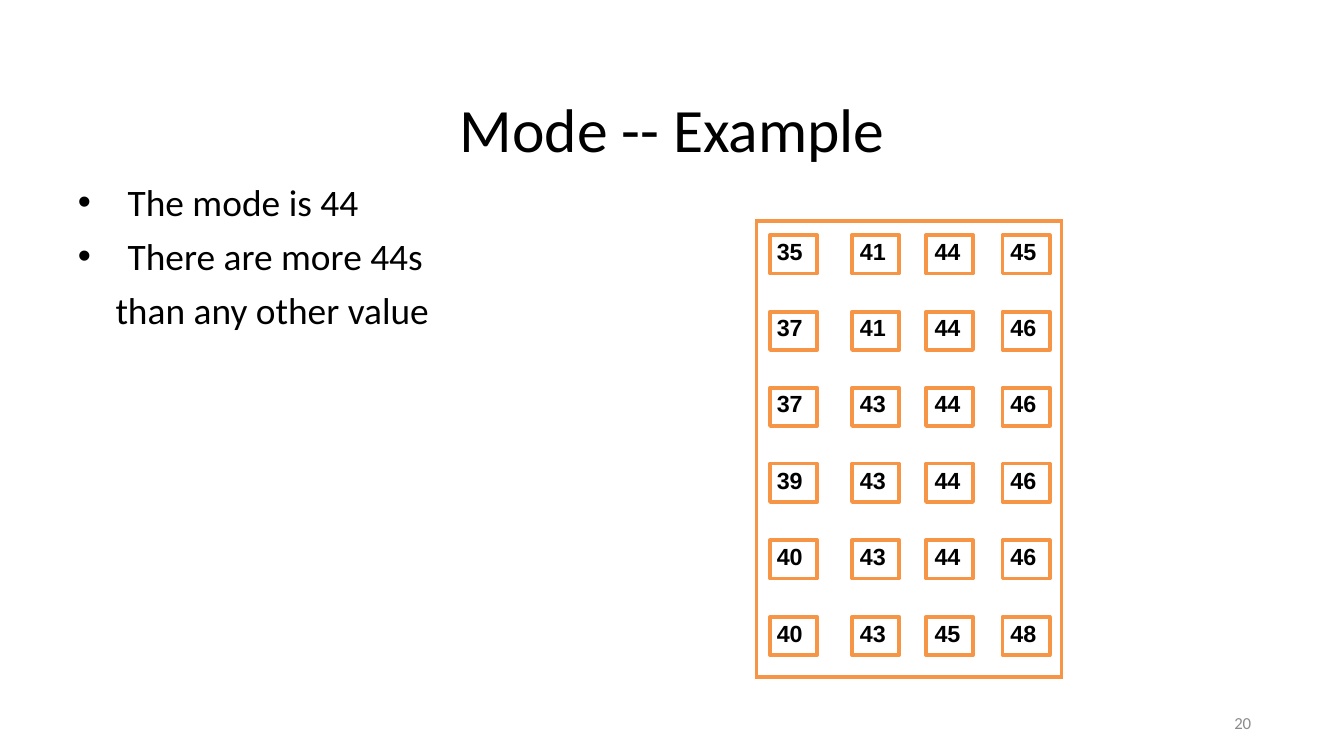
from dataclasses import dataclass

import pptx
import pptx.dml.color
import pptx.enum.text
import pptx.oxml
import pptx.oxml.ns
import pptx.util

PX = 4572
COLORS = {"text": "000000", "accent": "F79546", "paper": "FFFFFF", "number": "8C8C8C"}
ALIGN = pptx.enum.text.PP_ALIGN
MIDDLE = pptx.enum.text.MSO_ANCHOR.MIDDLE
FONTS = {
    "title": {"size": 33, "name": "Calibri", "bold": False},
    "bullet": {"size": 20, "name": "Calibri", "bold": False},
    "cell": {"size": 12.5, "name": "Arial", "bold": True},
    "number": {"size": 9, "name": "Calibri", "bold": False},
}


@dataclass
class Box:
    left: int
    top: int
    width: int
    height: int

    def emu(self) -> tuple:
        return tuple(v * PX for v in (self.left, self.top, self.width, self.height))

    def corners(self) -> list[tuple[int, int]]:
        right, bottom = self.left + self.width, self.top + self.height
        return [(self.left, bottom), (right, bottom), (right, self.top), (self.left, self.top)]


@dataclass
class Line:
    text: str
    font: str
    indent: int = 0
    hanging: int = 0
    before: float = 0
    align: ALIGN = ALIGN.LEFT
    color: str = "text"


VALUES = [
    [35, 41, 44, 45],
    [37, 41, 44, 46],
    [37, 43, 44, 46],
    [39, 43, 44, 46],
    [40, 43, 44, 46],
    [40, 43, 45, 48],
]
COL_WIDTHS = [112, 116, 112, 114]
ROW_HEIGHTS = [106, 114, 114, 114, 114, 117]
BOX_LEFTS = [1146, 1268, 1378, 1492]
BOX_TOP, BOX_WIDTH, BOX_HEIGHT = 350, 70, 57
BOX_PITCH = 113.5
BULLETS = [
    Line("The mode is 44", "bullet", 78, -74, 5.8),
    Line("There are more 44s", "bullet", 78, -74, 4.8),
    Line("than any other value", "bullet", 60, 0, 4.8),
]


def rgb(name: str) -> pptx.dml.color.RGBColor:
    return pptx.dml.color.RGBColor.from_string(COLORS[name])


def write_line(p, line: Line) -> None:
    p.alignment = line.align
    p.space_before = pptx.util.Pt(line.before)
    pPr = p._p.get_or_add_pPr()
    pPr.set("marL", str(line.indent * PX))
    pPr.set("indent", str(line.hanging * PX))
    if line.hanging:
        ns = pptx.oxml.ns.nsdecls("a")
        pPr.append(pptx.oxml.parse_xml(f'<a:buFont {ns} typeface="Arial"/>'))
        pPr.append(pptx.oxml.parse_xml(f'<a:buChar {ns} char="•"/>'))
    r = p.add_run()
    r.text = line.text
    for key, value in FONTS[line.font].items():
        setattr(r.font, key, pptx.util.Pt(value) if key == "size" else value)
    r.font.color.rgb = rgb(line.color)


def write_lines(tf, lines: list[Line], top: int = 0, anchor=None) -> None:
    frame = {
        "margin_left": 0, "margin_right": 0, "margin_bottom": 0, "margin_top": top * PX,
        "word_wrap": True, "vertical_anchor": anchor,
    }
    for key, value in frame.items():
        setattr(tf, key, value)
    for i, line in enumerate(lines):
        write_line(tf.add_paragraph() if i else tf.paragraphs[0], line)


def add_outlines(group, boxes: list[Box], fill: str = "", line: str = "") -> None:
    builder = group.shapes.build_freeform(*boxes[0].corners()[0], scale=PX)
    for i, box in enumerate(boxes):
        start, *rest = box.corners()
        if i:
            builder.move_to(*start)
        builder.add_line_segments(rest, close=True)
    sp = builder.convert_to_shape()
    sp.shadow.inherit = False
    if fill:
        sp.fill.solid()
        sp.fill.fore_color.rgb = rgb(fill)
    else:
        sp.fill.background()
    if line:
        sp.line.color.rgb = rgb(line)
        sp.line.width = pptx.util.Pt(2)
    else:
        sp.line.fill.background()


def set_borders(cell, edges: dict[str, bool]) -> None:
    ns = pptx.oxml.ns.nsdecls("a")
    tcPr = cell._tc.get_or_add_tcPr()
    for side, shown in edges.items():
        fill = f'<a:solidFill><a:srgbClr val="{COLORS["accent"]}"/></a:solidFill>' if shown else "<a:noFill/>"
        width = pptx.util.Pt(2.25)
        tcPr.append(pptx.oxml.parse_xml(f'<a:ln{side} {ns} w="{width}">{fill}</a:ln{side}>'))


def add_value_table(s, box: Box) -> None:
    rows, cols = len(VALUES), len(VALUES[0])
    table = s.shapes.add_table(rows, cols, *box.emu()).table
    table.first_row = table.horz_banding = False
    for column, width in zip(table.columns, COL_WIDTHS):
        column.width = width * PX
    for row, height in zip(table.rows, ROW_HEIGHTS):
        row.height = height * PX
    for i, values in enumerate(VALUES):
        for j, value in enumerate(values):
            cell = table.cell(i, j)
            cell.margin_left = cell.margin_right = cell.margin_bottom = 0
            cell.margin_top = (34 if i else 28) * PX
            align = ALIGN.CENTER if j else ALIGN.LEFT
            indent = {0: 30, 1: 6}.get(j, 0)
            before = 12.3 if i else 10
            write_line(cell.text_frame.paragraphs[0],
                       Line(str(value), "cell", indent, 0, before, align))
            set_borders(cell, {"L": j == 0, "R": j == cols - 1, "T": i == 0, "B": i == rows - 1})
            cell.fill.background()


def main() -> None:
    prs = pptx.Presentation()
    prs.slide_width, prs.slide_height = 2000 * PX, 1125 * PX
    s = prs.slides.add_slide(prs.slide_layouts[5])

    title = s.shapes.title
    title.left, title.top, title.width, title.height = Box(138, 60, 1724, 218).emu()
    write_lines(title.text_frame, [Line("Mode -- Example", "title", 546, 0, 0.9)], 44, MIDDLE)

    body = s.shapes.add_textbox(*Box(112, 250, 528, 246).emu())
    write_lines(body.text_frame, BULLETS, 17)

    group = s.shapes.add_group_shape()
    add_outlines(group, [Box(1130, 330, 454, 679)], fill="paper")
    boxes = [
        Box(left, round(BOX_TOP + i * BOX_PITCH), BOX_WIDTH, BOX_HEIGHT)
        for left in BOX_LEFTS
        for i in range(len(VALUES))
    ]
    add_outlines(group, boxes, line="accent")
    add_value_table(s, Box(1126, 329, sum(COL_WIDTHS), sum(ROW_HEIGHTS)))

    number = s.shapes.add_textbox(*Box(1412, 1043, 450, 60).emu())
    write_lines(number.text_frame,
                [Line("20", "number", 6, align=ALIGN.RIGHT, color="number")], anchor=MIDDLE)
    number.text_frame.paragraphs[0].line_spacing = pptx.util.Pt(13.2)

    prs.save("out.pptx")


if __name__ == "__main__":
    main()
